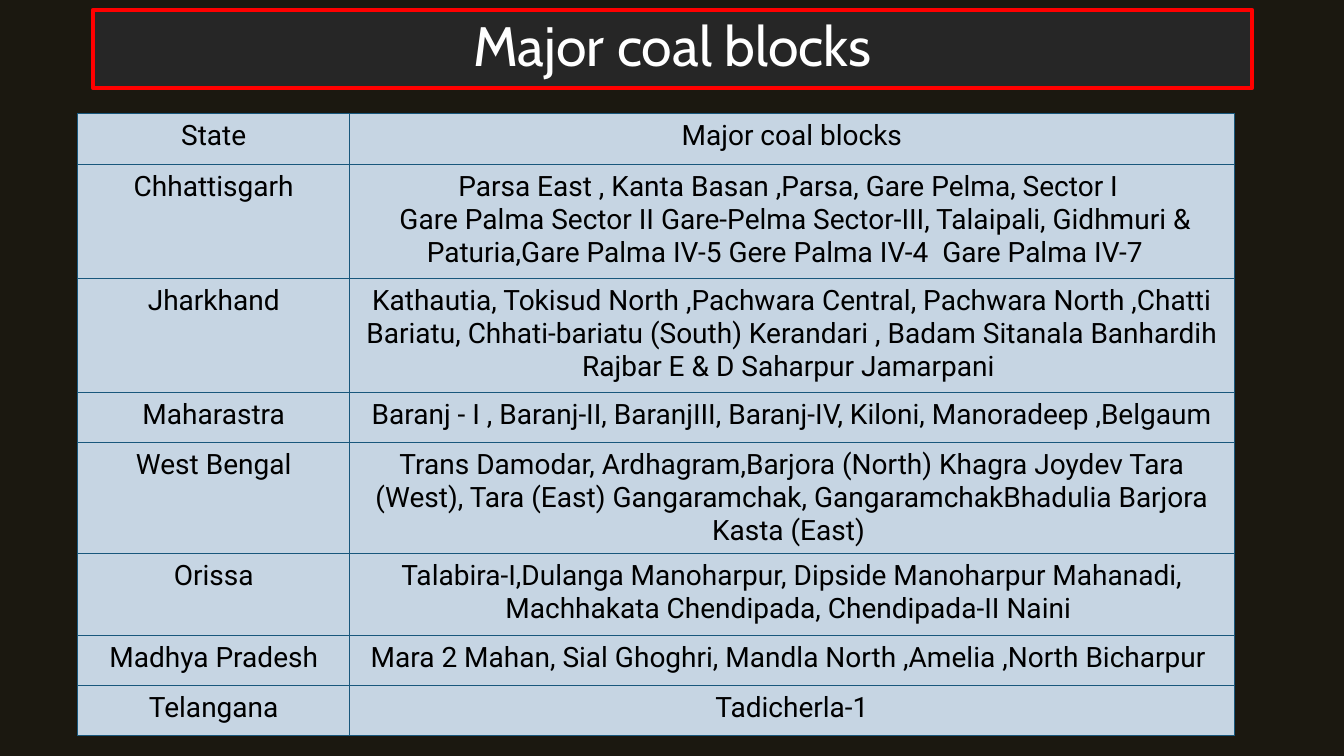
from dataclasses import dataclass

from lxml.etree import SubElement
from pptx import Presentation
from pptx.dml.color import RGBColor
from pptx.enum.text import MSO_ANCHOR, MSO_AUTO_SIZE, PP_ALIGN
from pptx.oxml.ns import qn
from pptx.util import Inches, Pt


@dataclass(frozen=True)
class Theme:
    background: str = "1B1810"
    title_fill: str = "262626"
    title_line: str = "FF0000"
    title_text: str = "FFFFFF"
    cell_fill: str = "C6D5E3"
    cell_border: str = "18577C"
    cell_text: str = "000000"
    title_font: str = "Cabin"
    body_font: str = "Roboto"
    title_size: float = 39.6
    body_size: float = 20
    title_line_width: float = 3
    border_width: float = 0.75


THEME = Theme()

COLUMN_WIDTHS = [2.7, 8.77]

# Row height, state, coal blocks (a line break starts a new paragraph)
COAL_ROWS = [
    (0.5, "State", "Major coal blocks"),
    (1.13, "Chhattisgarh",
     "Parsa East , Kanta Basan ,Parsa, Gare Pelma, Sector I \n"
     " Gare Palma Sector II Gare-Pelma Sector-III, Talaipali, Gidhmuri & "
     "Paturia,Gare Palma IV-5 Gere Palma IV-4  Gare Palma IV-7  "),
    (1.13, "Jharkhand",
     "Kathautia, Tokisud North ,Pachwara Central, Pachwara North ,Chatti "
     "Bariatu, Chhati-bariatu (South) Kerandari , Badam Sitanala Banhardih "
     "Rajbar E & D Saharpur Jamarpani "),
    (0.5, "Maharastra",
     "Baranj - I , Baranj-II, BaranjIII, Baranj-IV, Kiloni, Manoradeep ,Belgaum"),
    (0.81, "West Bengal",
     "Trans Damodar, Ardhagram,Barjora (North) Khagra Joydev Tara "
     "(West), Tara (East) Gangaramchak, GangaramchakBhadulia Barjora "
     "Kasta (East) "),
    (0.81, "Orissa",
     "Talabira-I,Dulanga Manoharpur, Dipside Manoharpur Mahanadi, "
     "Machhakata Chendipada, Chendipada-II Naini "),
    (0.5, "Madhya Pradesh",
     "Mara 2 Mahan, Sial Ghoghri, Mandla North ,Amelia ,North Bicharpur "),
    (0.5, "Telangana", "Tadicherla-1"),
]


def rgb(value):
    return RGBColor.from_string(value)


def paint(fill, color):
    fill.solid()
    fill.fore_color.rgb = rgb(color)


def style_text(frame, font_name, size, color):
    for paragraph in frame.paragraphs:
        paragraph.alignment = PP_ALIGN.CENTER
        paragraph.font.name = font_name
        paragraph.font.size = Pt(size)
        paragraph.font.color.rgb = rgb(color)


def add_title(slide, text):
    title = slide.shapes.title
    title.left, title.top = Inches(0.92), Inches(0.1)
    title.width, title.height = Inches(11.5), Inches(0.77)
    paint(title.fill, THEME.title_fill)
    title.line.color.rgb = rgb(THEME.title_line)
    title.line.width = Pt(THEME.title_line_width)
    frame = title.text_frame
    frame.text = text
    frame.auto_size = MSO_AUTO_SIZE.NONE
    frame.vertical_anchor = MSO_ANCHOR.MIDDLE
    style_text(frame, THEME.title_font, THEME.title_size, THEME.title_text)
    frame.paragraphs[0].line_spacing = 0.9


def add_borders(cell):
    properties = cell._tc.get_or_add_tcPr()
    for side in ("a:lnL", "a:lnR", "a:lnT", "a:lnB"):
        border = SubElement(properties, qn(side), w=str(Pt(THEME.border_width)))
        fill = SubElement(border, qn("a:solidFill"))
        SubElement(fill, qn("a:srgbClr"), val=THEME.cell_border)


def fill_cell(cell, text):
    cell.text = text
    cell.margin_left = cell.margin_right = Inches(0.06)
    cell.margin_top = cell.margin_bottom = Inches(0.06)
    style_text(cell.text_frame, THEME.body_font, THEME.body_size, THEME.cell_text)
    # Borders come before the fill in the cell properties
    add_borders(cell)
    paint(cell.fill, THEME.cell_fill)


def add_coal_table(slide):
    height = sum(row[0] for row in COAL_ROWS)
    coal_table = slide.shapes.add_table(
        len(COAL_ROWS), len(COLUMN_WIDTHS), Inches(0.77), Inches(1.13),
        Inches(sum(COLUMN_WIDTHS)), Inches(height)).table
    for column, width in zip(coal_table.columns, COLUMN_WIDTHS):
        column.width = Inches(width)
    for row, (row_height, *texts) in zip(coal_table.rows, COAL_ROWS):
        row.height = Inches(row_height)
        for cell, text in zip(row.cells, texts):
            fill_cell(cell, text)
    coal_table.first_row = False
    coal_table.horz_banding = False


def main():
    presentation = Presentation()
    presentation.slide_width = Inches(13.33)
    presentation.slide_height = Inches(7.5)
    slide = presentation.slides.add_slide(presentation.slide_layouts[5])
    paint(slide.background.fill, THEME.background)

    # Title bar and the table of states
    add_title(slide, "Major coal blocks")
    add_coal_table(slide)

    presentation.save("out.pptx")


if __name__ == "__main__":
    main()
